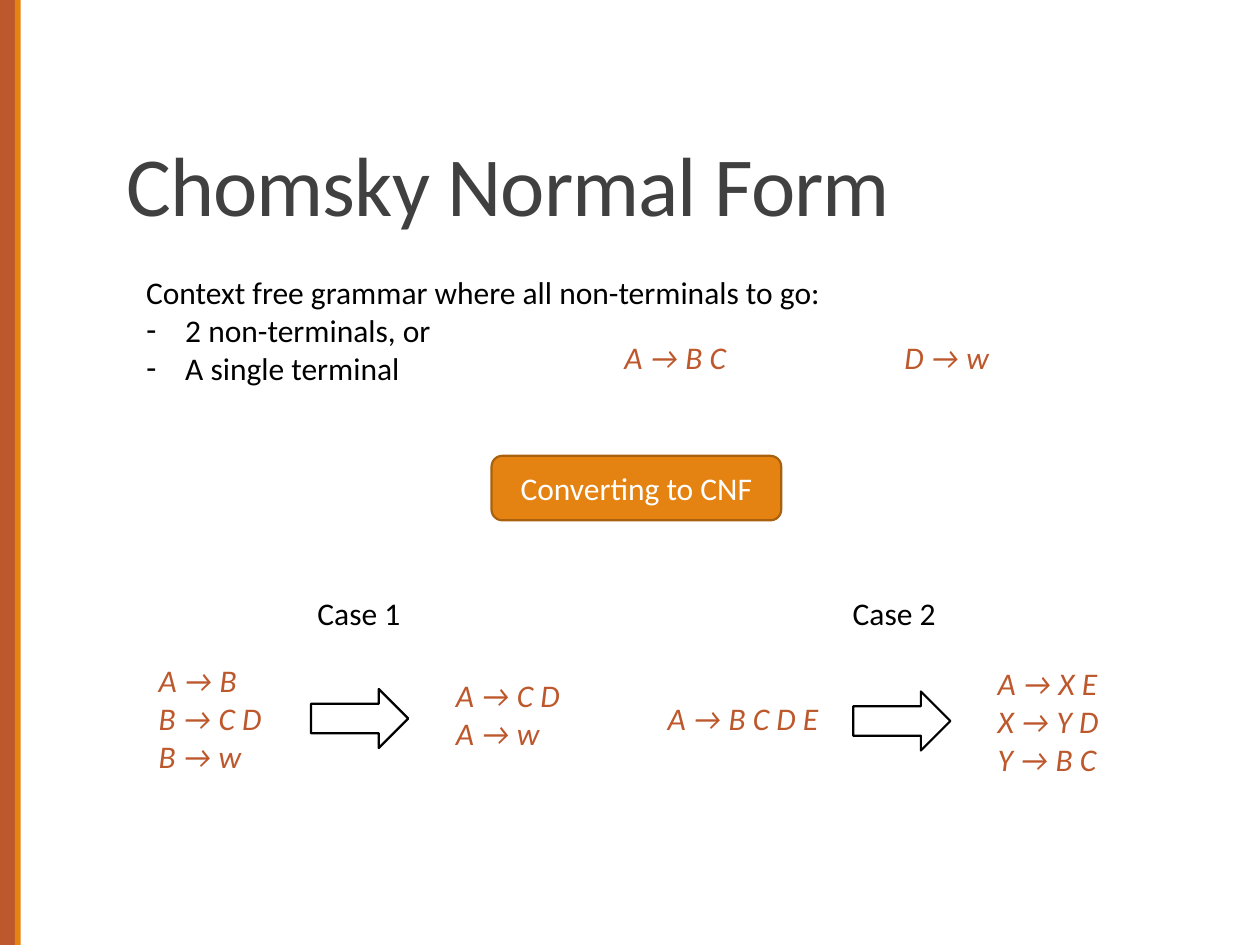
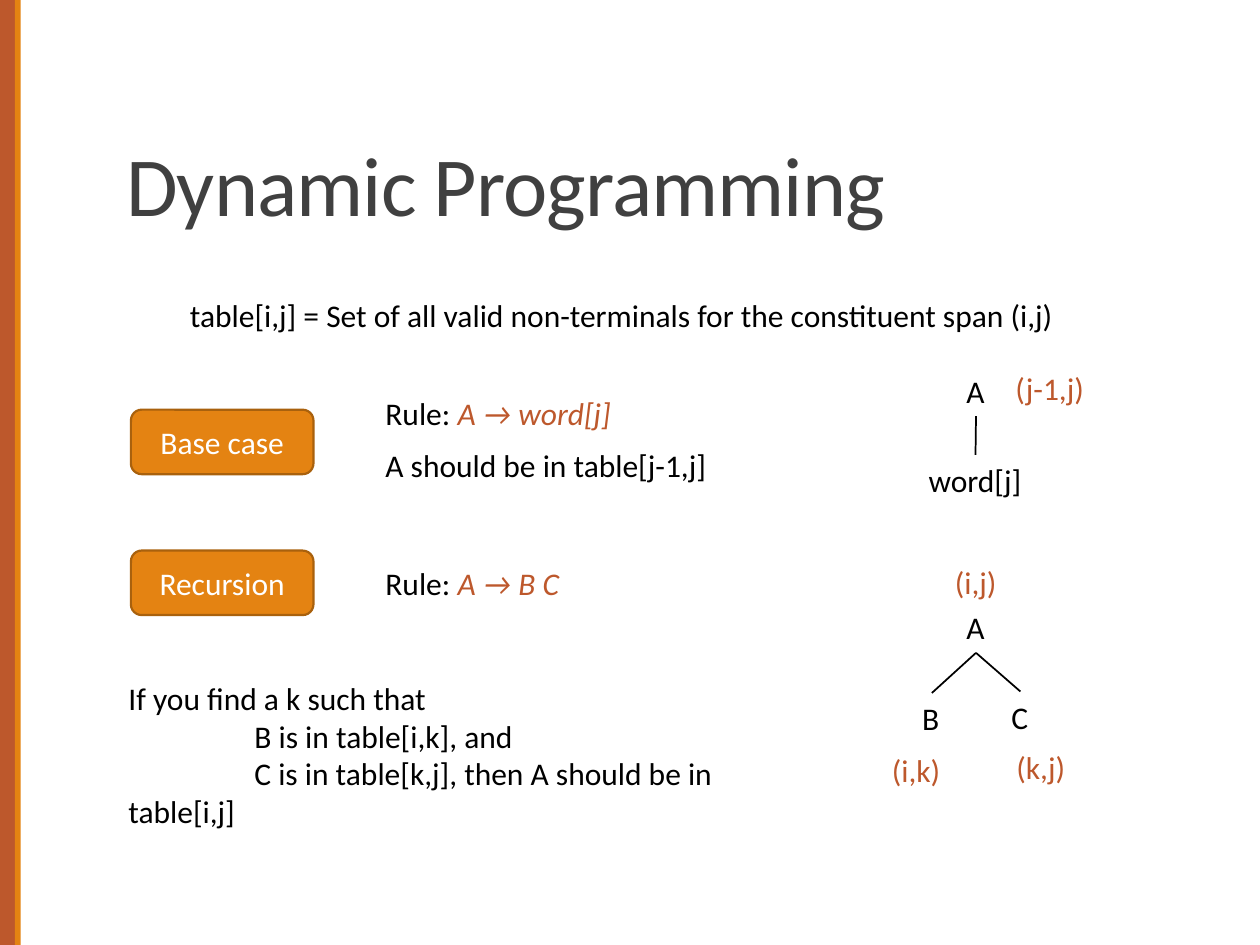
from lxml.etree import SubElement
from pptx import Presentation
from pptx.dml.color import RGBColor
from pptx.enum.shapes import MSO_CONNECTOR, MSO_SHAPE
from pptx.enum.text import MSO_ANCHOR, MSO_AUTO_SIZE, PP_ALIGN
from pptx.oxml.ns import qn
from pptx.util import Cm, Pt

RUST = RGBColor(0xBD, 0x58, 0x2C)
AMBER = RGBColor(0xE4, 0x83, 0x12)
BROWN = RGBColor(0xA9, 0x61, 0x0D)
GREY = RGBColor(0x40, 0x40, 0x40)
BLACK = RGBColor(0, 0, 0)
WHITE = RGBColor(255, 255, 255)

WIDE, HIGH = 25.4, 19.05
BASE = {"name": "Calibri", "size": Pt(18), "italic": False}
PLAIN = {"color": BLACK}
SPAN = {"color": RUST}
RULE = {"color": RUST, "italic": True}
LABEL = {"color": WHITE}
HEAD = {"color": GREY, "size": Pt(48)}


def place(shape, left, top, width, height):
    spots = {"left": left, "top": top, "width": width, "height": height}
    for name, value in spots.items():
        setattr(shape, name, Cm(value))


def add_run(para, text, look):
    run = para.add_run()
    run.text = text
    for name, value in (BASE | look).items():
        if name == "color":
            run.font.color.rgb = value
        else:
            setattr(run.font, name, value)
    return run


def write(frame, lines, look):
    """Fill a frame; a line is a string or a list of (text, look) pairs."""
    for num, line in enumerate(lines):
        para = frame.paragraphs[0] if num == 0 else frame.add_paragraph()
        parts = [(line, look)] if isinstance(line, str) else line
        for text, style in parts:
            add_run(para, text, style)


def indent(para, left, first):
    props = para._p.get_or_add_pPr()
    props.set("marL", str(Cm(left)))
    props.set("indent", str(Cm(first)))
    return props


def add_note(slide, left, top, width, lines, look=PLAIN, wrap=False):
    height = 0.25 + 0.77 * len(lines)
    box = slide.shapes.add_textbox(Cm(left), Cm(top), Cm(width), Cm(height))
    frame = box.text_frame
    frame.word_wrap = wrap
    frame.auto_size = MSO_AUTO_SIZE.SHAPE_TO_FIT_TEXT
    write(frame, lines, look)
    return box


def add_block(slide, kind, box, fill, edge=None):
    shape = slide.shapes.add_shape(kind, *map(Cm, box))
    shape.shadow.inherit = False
    shape.fill.solid()
    shape.fill.fore_color.rgb = fill
    if edge is None:
        shape.line.fill.background()
    else:
        shape.line.color.rgb = edge
        shape.line.width = Pt(1.25)
    return shape


def add_pill(slide, left, top, width, text):
    box = (left, top, width, 1.3)
    pill = add_block(slide, MSO_SHAPE.ROUNDED_RECTANGLE, box, AMBER, BROWN)
    frame = pill.text_frame
    frame.vertical_anchor = MSO_ANCHOR.MIDDLE
    write(frame, [text], LABEL)
    frame.paragraphs[0].alignment = PP_ALIGN.CENTER


def add_branch(slide, parent, child):
    """Draw a tree edge from the parent's bottom to the child's top."""
    line = slide.shapes.add_connector(MSO_CONNECTOR.STRAIGHT, 0, 0, 0, 0)
    line.begin_connect(parent, 2)
    line.end_connect(child, 0)
    line.line.color.rgb = BLACK
    line.line.width = Pt(1)
    SubElement(line._element.spPr, qn("a:effectLst"))


def add_list(slide, box, intro, items):
    body = slide.placeholders[1]
    place(body, *box)
    frame = body.text_frame
    frame.word_wrap = False
    frame.auto_size = MSO_AUTO_SIZE.NONE
    write(frame, [intro, *items], PLAIN)
    for num, para in enumerate(frame.paragraphs):
        para.space_before = Pt(0)
        if num == 0:
            SubElement(indent(para, 0, 0), qn("a:buNone"))
        else:
            props = indent(para, 0.79, -0.79)
            SubElement(props, qn("a:buFontTx"))
            SubElement(props, qn("a:buChar"), char="-")


def new_slide(deck, layout, title):
    slide = deck.slides.add_slide(deck.slide_layouts[layout])
    add_block(slide, MSO_SHAPE.RECTANGLE, (0, 0, 0.3, HIGH), RUST)
    add_block(slide, MSO_SHAPE.RECTANGLE, (0.3, 0, 0.12, HIGH), AMBER)
    head = slide.shapes.title
    place(head, 2.29, 0.79, 20.96, 4.04)
    frame = head.text_frame
    frame.auto_size = MSO_AUTO_SIZE.NONE
    frame.vertical_anchor = MSO_ANCHOR.BOTTOM
    para = frame.paragraphs[0]
    para.alignment = PP_ALIGN.LEFT
    para.line_spacing = 0.85
    run = add_run(para, title, HEAD)
    run._r.get_or_add_rPr().set("spc", "-50")
    return slide


def add_case(slide, name, label, before, arrow, after):
    """Show the rules before and after a conversion, with an arrow between."""
    add_note(slide, label, 11.86, 2.21, [name])
    add_note(slide, *before, RULE)
    box = (*arrow, 1.96, 1.19)
    add_block(slide, MSO_SHAPE.RIGHT_ARROW, box, WHITE, BLACK)
    add_note(slide, *after, RULE)


def normal_form(deck):
    slide = new_slide(deck, 1, "Chomsky Normal Form")
    add_list(slide, (2.69, 5.38, 14.17, 2.57),
             "Context free grammar where all non-terminals to go:",
             ["2 non-terminals, or", "A single terminal"])
    add_note(slide, 12.34, 6.68, 2.64, ["A → B C"], RULE)
    add_note(slide, 17.98, 6.68, 2.29, ["D → w"], RULE)
    add_pill(slide, 9.91, 9.19, 5.84, "Converting to CNF")
    add_case(slide, "Case 1", 6.15,
             (2.95, 13.21, 2.67, ["A → B", "B → C D", "B → w"]),
             (6.27, 13.89),
             (8.94, 13.51, 2.69, ["A → C D", "A → w"]))
    add_case(slide, "Case 2", 16.94,
             (13.21, 13.97, 3.63, ["A → B C D E"]),
             (17.2, 13.94),
             (19.86, 13.26, 2.62, ["A → X E", "X → Y D", "Y → B C"]))


def base_case(slide):
    add_pill(slide, 2.64, 8.26, 3.68, "Base case")
    add_note(slide, 7.52, 7.82, 5.11, [[("Rule: ", PLAIN), ("A → word[j]", RULE)]])
    add_note(slide, 7.52, 8.86, 7.06, ["A should be in table[j-1,j]"])
    root = add_note(slide, 19.23, 7.37, 0.89, ["A"])
    add_note(slide, 20.22, 7.32, 1.91, ["(j-1,j)"], SPAN)
    leaf = add_note(slide, 18.47, 9.17, 2.39, ["word[j]"], wrap=True)
    add_branch(slide, root, leaf)


def recursion(slide):
    add_pill(slide, 2.64, 11.1, 3.68, "Recursion")
    add_note(slide, 7.52, 11.25, 4.11, [[("Rule: ", PLAIN), ("A → B C", RULE)]])
    root = add_note(slide, 19.23, 12.14, 0.89, ["A"])
    for left, top, width, text in ((18.34, 13.97, 0.89, "B"),
                                   (20.14, 13.94, 0.86, "C")):
        add_branch(slide, root, add_note(slide, left, top, width, [text]))
    for left, top, width, text in ((19, 11.23, 1.37, "(i,j)"),
                                   (17.73, 15.01, 1.5, "(i,k)"),
                                   (20.24, 14.96, 1.5, "(k,j)")):
        add_note(slide, left, top, width, [text], SPAN)
    steps = add_note(slide, 2.34, 13.56, 13.46, [
        "If you find a k such that",
        "B is in table[i,k], and",
        "C is in table[k,j], then A should be in table[i,j]"], wrap=True)
    for para in steps.text_frame.paragraphs[1:]:
        indent(para, 0, 2.54)


def dynamic(deck):
    slide = new_slide(deck, 5, "Dynamic Programming")
    add_note(slide, 3.58, 5.84, 18.14, [
        "table[i,j] = Set of all valid non-terminals for the constituent span (i,j)"])
    base_case(slide)
    recursion(slide)


def main():
    deck = Presentation()
    deck.slide_width, deck.slide_height = Cm(WIDE), Cm(HIGH)
    normal_form(deck)
    dynamic(deck)
    deck.save("out.pptx")


if __name__ == "__main__":
    main()
